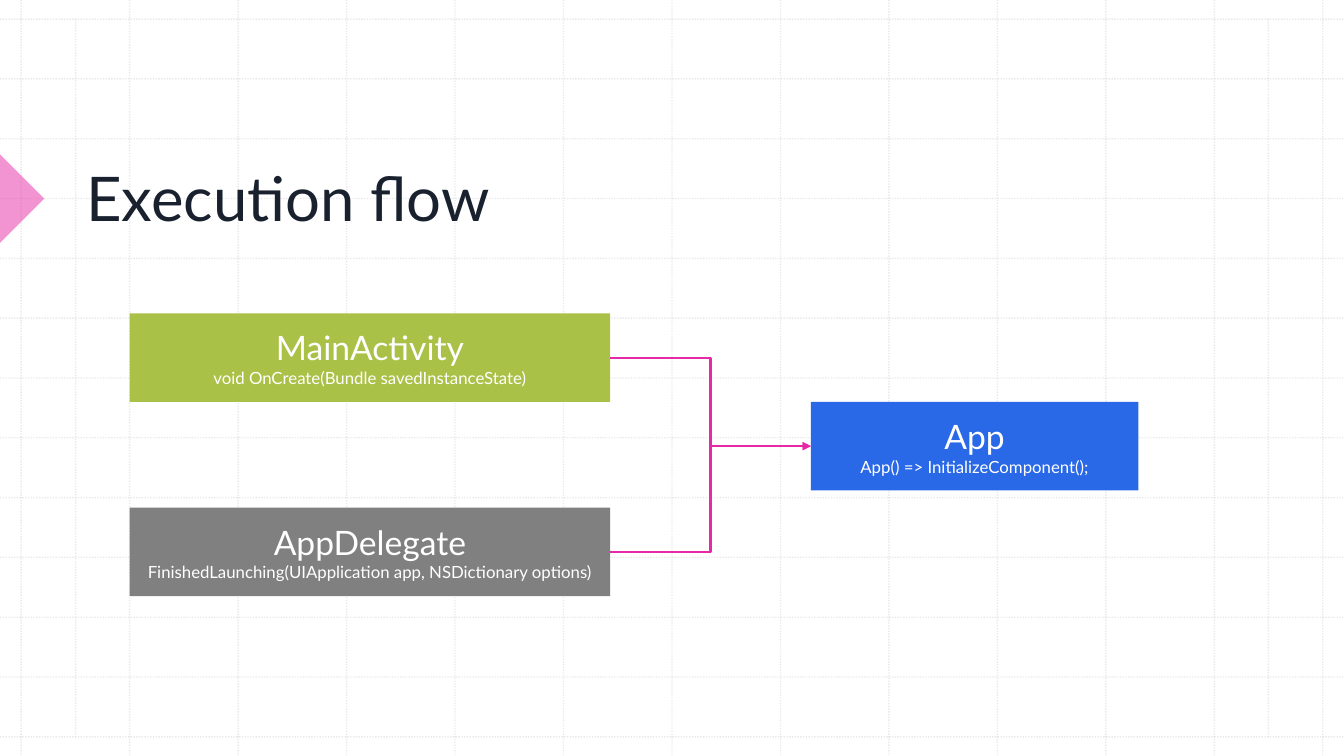
from dataclasses import dataclass

from lxml.etree import SubElement
from pptx import Presentation
from pptx.dml.color import RGBColor
from pptx.enum.dml import MSO_LINE
from pptx.enum.shapes import MSO_CONNECTOR, MSO_SHAPE
from pptx.enum.text import MSO_ANCHOR, PP_ALIGN
from pptx.oxml.ns import qn
from pptx.util import Inches, Pt


@dataclass(frozen=True)
class Theme:
    font: str = "Lato"
    title: str = "1A212E"
    light: str = "FFFFFF"
    grid: str = "BCBCBC"
    accent: str = "E729A7"
    android: str = "AAC148"
    ios: str = "808080"
    shared: str = "2968E7"
    title_size: int = 44
    name_size: int = 24
    code_size: int = 12


THEME = Theme()
WIDTH, HEIGHT = Inches(13.33), Inches(7.5)

# Background grid: 12 columns and 12 rows between equal margins
CELLS = 12
MARGIN_X, MARGIN_Y = Inches(0.21), Inches(0.19)
COLUMN = (WIDTH - 2 * MARGIN_X) / CELLS
ROW = (HEIGHT - 2 * MARGIN_Y) / CELLS
SIDE_MARGIN = Inches(0.75)
BOX_ROWS = 1.48


def column_x(column):
    return round(MARGIN_X + column * COLUMN)


def row_y(row):
    return round(MARGIN_Y + row * ROW)


def cell_area(column, row, columns, rows):
    return column_x(column), row_y(row), round(columns * COLUMN), round(rows * ROW)


def set_format(target, values):
    for name, value in values.items():
        setattr(target, name, value)


def set_opacity(fill, percent):
    color = fill._xPr.find(".//" + qn("a:srgbClr"))
    SubElement(color, qn("a:alpha"), val=str(percent * 1000))


def fill_shape(shape, color):
    shape.shadow.inherit = False
    shape.fill.solid()
    shape.fill.fore_color.rgb = RGBColor.from_string(color)
    shape.line.fill.background()


def add_line(slide, kind, start, end, color, width):
    connector = slide.shapes.add_connector(kind, *start, *end)
    SubElement(connector._element.spPr, qn("a:effectLst"))
    connector.line.fill.solid()
    connector.line.color.rgb = RGBColor.from_string(color)
    connector.line.width = Pt(width)
    return connector


def add_grid_line(slide, start, end):
    connector = add_line(slide, MSO_CONNECTOR.STRAIGHT, start, end, THEME.grid, 1)
    connector.line.dash_style = MSO_LINE.ROUND_DOT
    set_opacity(connector.line.fill, 30)


def add_grid(slide):
    for index in range(CELLS + 1):
        x, y = column_x(index), row_y(index)
        add_grid_line(slide, (x, 0), (x, HEIGHT))
        add_grid_line(slide, (0, y), (WIDTH, y))
    for x in (SIDE_MARGIN, WIDTH - SIDE_MARGIN):
        add_grid_line(slide, (x, row_y(0)), (x, row_y(CELLS)))


def add_title_marker(slide):
    side = Inches(0.62)
    marker = slide.shapes.add_shape(
        MSO_SHAPE.RIGHT_TRIANGLE, -side // 2, row_y(3) - side // 2, side, side)
    fill_shape(marker, THEME.accent)
    set_opacity(marker.fill, 50)
    marker.rotation = 225


def write_text(shape, lines, color, anchor, alignment):
    frame = shape.text_frame
    set_format(frame, {"word_wrap": True, "vertical_anchor": anchor})
    for index, (text, size) in enumerate(lines):
        paragraph = frame.add_paragraph() if index else frame.paragraphs[0]
        paragraph.alignment = alignment
        run = paragraph.add_run()
        run.text = text
        set_format(run.font, {"name": THEME.font, "size": Pt(size)})
        run.font.color.rgb = RGBColor.from_string(color)


def add_title(slide, text):
    title = slide.shapes.add_textbox(*cell_area(0.51, 1.01, 10.49, 2.66))
    write_text(title, [(text, THEME.title_size)], THEME.title,
               MSO_ANCHOR.BOTTOM, PP_ALIGN.LEFT)


def add_class_box(slide, name, code, color, column, row, columns):
    box = slide.shapes.add_shape(
        MSO_SHAPE.RECTANGLE, *cell_area(column, row, columns, BOX_ROWS))
    fill_shape(box, color)
    write_text(box, [(name, THEME.name_size), (code, THEME.code_size)],
               THEME.light, MSO_ANCHOR.MIDDLE, PP_ALIGN.CENTER)
    return box


def add_flow_arrow(slide, source, target):
    start = source.left + source.width, source.top + source.height // 2
    end = target.left, target.top + target.height // 2
    arrow = add_line(slide, MSO_CONNECTOR.ELBOW, start, end, THEME.accent, 1.5)
    arrow.begin_connect(source, 3)
    arrow.end_connect(target, 1)
    SubElement(arrow.line._get_or_add_ln(), qn("a:tailEnd"), type="triangle")


def main():
    presentation = Presentation()
    set_format(presentation, {"slide_width": WIDTH, "slide_height": HEIGHT})
    slide = presentation.slides.add_slide(presentation.slide_layouts[6])

    # Backdrop and heading
    add_grid(slide)
    add_title_marker(slide)
    add_title(slide, "Execution flow")

    # Platform entry points leading to the shared app
    entry_points = [
        add_class_box(slide, "MainActivity", "void OnCreate(Bundle savedInstanceState)",
                      THEME.android, 1, 4.92, 4.43),
        add_class_box(slide, "AppDelegate",
                      "FinishedLaunching(UIApplication app, NSDictionary options)",
                      THEME.ios, 1, 8.17, 4.43),
    ]
    app = add_class_box(slide, "App", "App() => InitializeComponent();",
                        THEME.shared, 7.28, 6.4, 3.02)
    for entry_point in entry_points:
        add_flow_arrow(slide, entry_point, app)

    presentation.save("out.pptx")


if __name__ == "__main__":
    main()
